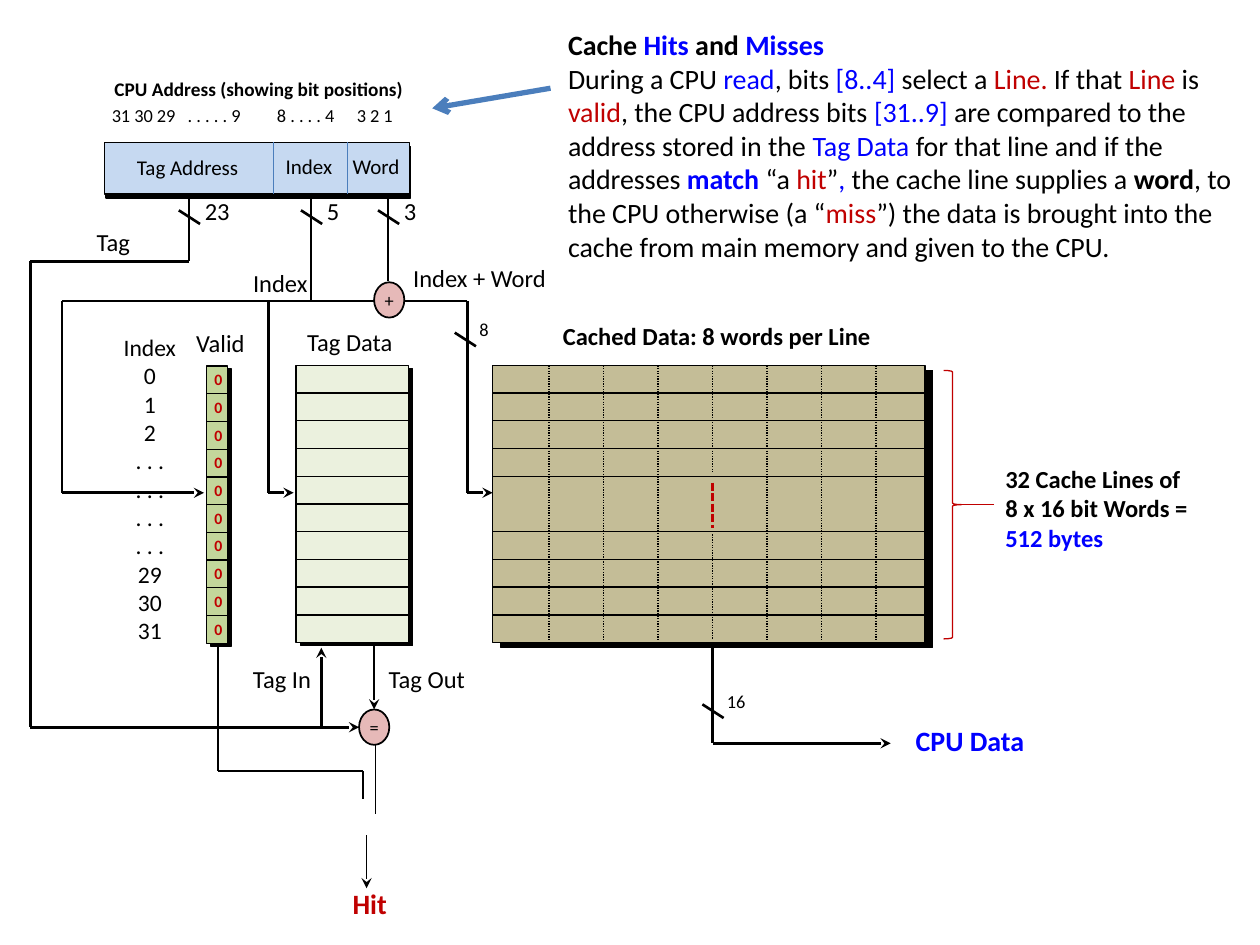
from lxml.etree import SubElement
from pptx import Presentation
from pptx.dml.color import RGBColor
from pptx.enum.dml import MSO_LINE
from pptx.enum.shapes import MSO_CONNECTOR, MSO_SHAPE as Shape
from pptx.enum.text import MSO_ANCHOR, MSO_AUTO_SIZE, PP_ALIGN as Align
from pptx.oxml.ns import qn
from pptx.util import Pt

BLACK = RGBColor(0, 0, 0)
BLUE = RGBColor(0, 0, 0xFF)
RED = RGBColor(0xC0, 0, 0)
STEEL = RGBColor(0x4B, 0x7E, 0xBC)
PALE_BLUE = RGBColor(0xC6, 0xD9, 0xF1)
PINK = RGBColor(0xE6, 0xB9, 0xB8)
PALE_GREEN = RGBColor(0xEB, 0xF1, 0xDE)
GREEN = RGBColor(0xC3, 0xD6, 0x9B)
TAN = RGBColor(0xC4, 0xBD, 0x97)

ROWS, ROW_HEIGHT = 10, 15.84
WIRE = 1.5


def style(run, size, color=BLACK, bold=False):
    run.font.name = "Calibri"
    run.font.size = Pt(size)
    run.font.color.rgb = color
    run.font.bold = bold


def label(slide, left, top, width, height, paragraphs, size=14, color=BLACK,
          bold=False, align=Align.LEFT, wrap=False, inset=None):
    """Each paragraph is a string or a list of (text, color, bold) runs."""
    frame = slide.shapes.add_textbox(Pt(left), Pt(top), Pt(width), Pt(height)).text_frame
    frame.word_wrap = wrap
    frame.auto_size = MSO_AUTO_SIZE.SHAPE_TO_FIT_TEXT
    if inset is not None:
        frame.margin_left = Pt(inset)
        frame.margin_right = frame.margin_top = frame.margin_bottom = 0
    if isinstance(paragraphs, str):
        paragraphs = [paragraphs]
    for number, content in enumerate(paragraphs):
        paragraph = frame.add_paragraph() if number else frame.paragraphs[0]
        paragraph.alignment = align
        runs = [(content, color, bold)] if isinstance(content, str) else content
        for text, run_color, run_bold in runs:
            run = paragraph.add_run()
            run.text = text
            style(run, size, run_color, run_bold)


def line(slide, x1, y1, x2, y2, width=0.75, color=BLACK, dash=None, arrow=None):
    connector = slide.shapes.add_connector(
        MSO_CONNECTOR.STRAIGHT, Pt(x1), Pt(y1), Pt(x2), Pt(y2))
    connector.line.color.rgb = color
    connector.line.width = Pt(width)
    if dash:
        connector.line.dash_style = dash
    if arrow:
        SubElement(connector.line._get_or_add_ln(), qn("a:tailEnd"), type=arrow)
    SubElement(connector._element.spPr, qn("a:effectLst"))


def wire(slide, points, width=WIRE, arrow=None):
    """Straight segments through the points, with the arrowhead on the last."""
    segments = list(zip(points, points[1:]))
    for number, (start, end) in enumerate(segments, 1):
        line(slide, *start, *end, width, arrow=arrow if number == len(segments) else None)


def solid(slide, kind, left, top, width, height, fill, outline=BLACK, weight=0.75):
    shape = slide.shapes.add_shape(kind, Pt(left), Pt(top), Pt(width), Pt(height))
    shape.shadow.inherit = False
    if fill is None:
        shape.fill.background()
    else:
        shape.fill.solid()
        shape.fill.fore_color.rgb = fill
    shape.line.color.rgb = outline
    shape.line.width = Pt(weight)
    return shape


def gate(slide, left, top, symbol):
    frame = solid(slide, Shape.OVAL, left, top, 17.3, 20.2, PINK, weight=1).text_frame
    frame.margin_left = frame.margin_right = frame.margin_top = frame.margin_bottom = 0
    frame.vertical_anchor = MSO_ANCHOR.MIDDLE
    frame.text = symbol
    frame.paragraphs[0].alignment = Align.CENTER
    style(frame.paragraphs[0].runs[0], 10.5)


def bus_width(slide, x, y, bits, size=14):
    """Slash across a wire with its number of bits."""
    line(slide, x - 5.8, y, x + 6.3, y + 7.8, WIRE)
    label(slide, x + 5.8, y - 8.3, 18.7, 17.3, bits, size, inset=size * 0.23)


def address_bar(slide, left, top, width, height):
    solid(slide, Shape.RECTANGLE, left + 0.7, top + 2.2, width, height, BLACK)
    solid(slide, Shape.RECTANGLE, left, top, width, height, PALE_BLUE)
    for divider in (96.4, 138.9):
        line(slide, left + divider, top, left + divider, top + height, color=STEEL)
    label(slide, left - 1.5, top - 41, 209, 28, "CPU Address (showing bit positions)", 11, bold=True)
    for x, bits in ((-3, "31 30 29"), (40.4, ". . . . . 9"), (91.4, "8 . . . . 4"), (137, "3 2 1")):
        label(slide, left + x, top - 25.2, 58, 27.4, bits, 10.5)
    label(slide, left - 0.8, top + 3.5, 96.5, 21.6, "Tag Address", 12, align=Align.CENTER, wrap=True)
    label(slide, left + 96.4, top + 3, 41, 21.6, "Index", 12)
    label(slide, left + 134.6, top + 3, 44.6, 21.6, "Word", 12)


def address_wires(slide, left, top):
    tag, index, word = left + 90.7, left + 160.5, left + 204.5
    tag_turn, branch, entry, compare = top + 37.8, top + 60.5, top + 170, top + 304
    valid_branch, tag_branch, data_branch = left + 18.2, left + 136.1, left + 249.8
    wire(slide, [(tag, top), (tag, tag_turn), (left, tag_turn), (left, compare),
                 (left + 187.9, compare)], arrow="stealth")
    wire(slide, [(index, top - 1.4), (index, branch)])
    wire(slide, [(word, top + 2), (word, top + 49)])
    line(slide, valid_branch, branch, data_branch, branch, WIRE)
    for x, end in ((valid_branch, 99.3), (tag_branch, 150.5), (data_branch, 264.2)):
        wire(slide, [(x, branch), (x, entry), (left + end, entry)], arrow="stealth")
    gate(slide, left + 196.5, top + 49.7, "+")
    for x, bits in ((tag, "23"), (index, "5"), (word, "3")):
        bus_width(slide, x, top + 8.6, bits)
    bus_width(slide, data_branch - 1.4, top + 78.5, "8", 10.5)
    label(slide, left + 30.9, top + 14.4, 33.8, 24.5, "Tag")
    label(slide, left + 120.2, top + 38.2, 46, 24.5, "Index")
    label(slide, left + 211.7, top + 35.3, 90.7, 24.5, "Index + Word")


def hit_logic(slide, left, top):
    valid_in, tag_out, tag_in = left + 82.8, left + 89.2, left + 59
    wire(slide, [(left, top), (left, top + 159.8), (valid_in, top + 159.8),
                 (valid_in, top + 175.7)], 0.75)
    wire(slide, [(left + 90, top + 144), (left + 90, top + 184.3)], 0.75)
    wire(slide, [(left + 84.9, top + 196.6), (left + 84.9, top + 226.8)], 0.75, "stealth")
    wire(slide, [(tag_out, top + 13.7), (tag_out, top + 124.6)], arrow="stealth")
    wire(slide, [(tag_in, top + 134.8), (tag_in, top + 89.3)], arrow="stealth")
    gate(slide, left + 80.6, top + 124.6, "=")
    label(slide, left + 94.3, top + 98.6, 54, 17.3, "Tag Out", inset=3.2)
    label(slide, left + 12.9, top + 95, 48.2, 24.5, "Tag In")
    label(slide, left + 69.8, top + 222.5, 34.6, 26.6, "Hit", 16, RED, True)


def cpu_output(slide, left, top):
    wire(slide, [(left, top), (left, top + 123.1), (left + 101.8, top + 123.1)], arrow="stealth")
    bus_width(slide, left, top + 100.8, "16", 10.5)
    label(slide, left + 109, top + 108, 89.3, 36.7, "CPU Data", 16, BLUE, True)


def memory(slide, left, top, width, fill, shadow, merged_row=None):
    """Stack of rows over a black shadow; no rule is drawn at merged_row."""
    height = ROWS * ROW_HEIGHT
    solid(slide, Shape.RECTANGLE, left + shadow, top + shadow / 2 + 0.5, width, height, BLACK)
    solid(slide, Shape.RECTANGLE, left, top, width, height, fill)
    for row in range(1, ROWS):
        if row != merged_row:
            y = top + row * ROW_HEIGHT
            line(slide, left, y, left + width, y)


def valid_bits(slide, left, top, width):
    memory(slide, left, top, width, GREEN, 2.2)
    label(slide, left - 13, top - 25.5, 42.5, 24.5, "Valid")
    for row in range(ROWS):
        label(slide, left - 4.3, top - 1.4 + row * ROW_HEIGHT, 22.3, 25.2, "0", 9, RED,
              True, Align.CENTER)
    numbers = ["Index", "0", "1", "2"] + [". . ."] * 4 + ["29", "30", "31"]
    label(slide, left - 54.7, top - 22.5, 44.6, 187.2, numbers, 13.5, align=Align.CENTER)


def tag_data(slide, left, top, width):
    memory(slide, left, top, width, PALE_GREEN, 2.6)
    label(slide, left - 0.7, top - 25.2, 64, 24.5, "Tag Data")


def cached_data(slide, left, top, width):
    memory(slide, left, top, width, TAN, 4.5, merged_row=5)
    bottom = top + ROWS * ROW_HEIGHT - 1.5
    words, word_width = 8, 31.14
    for column in range(1, words):
        x = left + 1 + column * word_width
        if column == words // 2:
            line(slide, x, top, x, top + 61.2, dash=MSO_LINE.ROUND_DOT)
            line(slide, x, top + 67, x, top + 92.9, WIRE, RED, MSO_LINE.SQUARE_DOT)
            line(slide, x, top + 96.5, x, bottom, dash=MSO_LINE.ROUND_DOT)
        else:
            line(slide, x, top, x, bottom, dash=MSO_LINE.ROUND_DOT)
    label(slide, left + 33, top - 28.8, 191.5, 24.5, "Cached Data: 8 words per Line", bold=True)


def size_note(slide, left, top, width, height):
    solid(slide, Shape.RIGHT_BRACE, left, top, width, height, None, RED)
    middle = top + height / 2
    line(slide, left + 28.8, middle, left + width, middle, color=RED)
    label(slide, left + 28.1, middle - 27, 122.4, 58.3,
          ["32 Cache Lines of", "8 x 16 bit Words =", [("512 bytes", BLUE, True)]], bold=True)


def explanation(slide, left, top, width, height):
    title = [("Cache ", BLACK, True), ("Hits", BLUE, True), (" and ", BLACK, True),
             ("Misses", BLUE, True)]
    body = [("During a CPU ", BLACK, False), ("read", BLUE, False), (", bits ", BLACK, False),
            ("[8..4] ", BLUE, False), ("select a ", BLACK, False), ("Line. ", RED, False),
            ("If that ", BLACK, False), ("Line", RED, False), (" is ", BLACK, False),
            ("valid", RED, False), (", the CPU address bits", BLACK, False),
            (" [31..9] ", BLUE, False),
            ("are compared to the address stored in the ", BLACK, False),
            ("Tag Data", BLUE, False), (" for that line and if the addresses ", BLACK, False),
            ("match ", BLUE, True), ("“a ", BLACK, False), ("hit", RED, False),
            ("”", BLACK, False), (", ", BLUE, False),
            ("the cache line supplies a ", BLACK, False), ("word", BLACK, True),
            (", to the CPU otherwise (a “", BLACK, False), ("miss", RED, False),
            ("”) the data is brought into the cache from main memory and given to the CPU.",
             BLACK, False)]
    label(slide, left, top, width, height, [title, body], 16, wrap=True)
    line(slide, left - 2.9, top + 38.2, left - 70.5, top + 49.7, 3, STEEL, arrow="arrow")


def main():
    deck = Presentation()
    deck.slide_width, deck.slide_height = Pt(720), Pt(540)
    slide = deck.slides.add_slide(deck.slide_layouts[6])
    address_bar(slide, 59.8, 81.4, 174.2, 29.5)
    address_wires(slide, 17.3, 111.6)
    hit_logic(slide, 124.6, 280.8)
    cpu_output(slide, 407.2, 301.7)
    valid_bits(slide, 118, 209.2, 12.2)
    tag_data(slide, 169.2, 208.8, 64.1)
    cached_data(slide, 281.6, 208.8, 247)
    size_note(slide, 539.3, 211.7, 10.1, 153.4)
    explanation(slide, 317.5, 12.2, 396.7, 143.3)
    deck.save("out.pptx")


if __name__ == "__main__":
    main()
